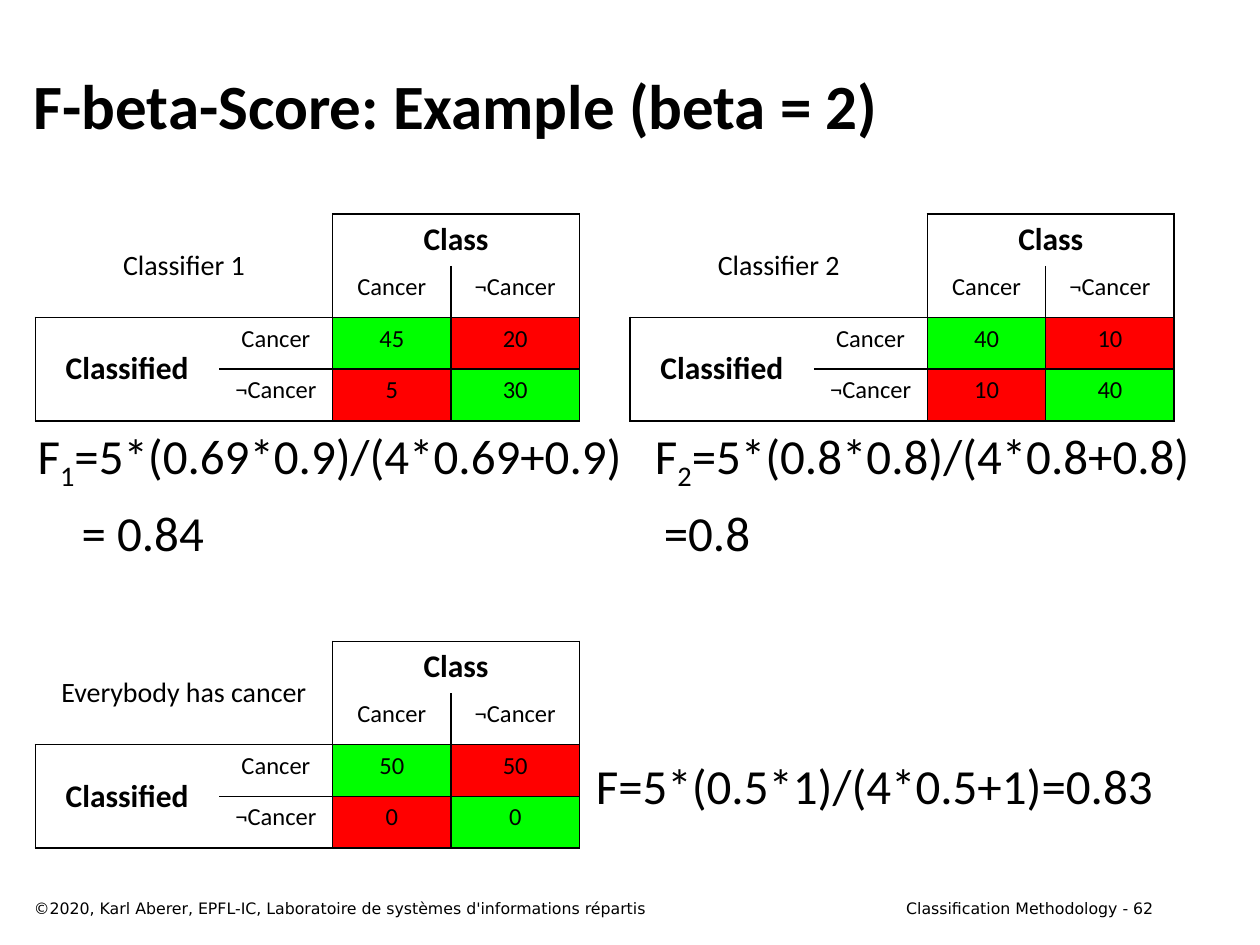
"""Build the F-beta score example slide with three confusion matrices."""
from dataclasses import dataclass

from lxml import etree
from pptx import Presentation
from pptx.dml.color import RGBColor
from pptx.enum.text import MSO_ANCHOR, PP_ALIGN
from pptx.oxml.ns import qn
from pptx.util import Inches, Pt

LEFT, CENTER, RIGHT = PP_ALIGN.LEFT, PP_ALIGN.CENTER, PP_ALIGN.RIGHT
TOP, MIDDLE = MSO_ANCHOR.TOP, MSO_ANCHOR.MIDDLE


@dataclass(frozen=True)
class Theme:
    font: str = "Calibri"
    footer_font: str = "DejaVu Sans"
    ink: str = "000000"
    correct: str = "00FF00"
    wrong: str = "FF0000"
    title: int = 36
    formula: int = 28
    heading: int = 18
    caption: int = 16
    label: int = 14
    footer: int = 9
    border: int = 1


@dataclass(frozen=True)
class Label:
    text: str
    left: float
    top: float
    width: float
    height: float
    size: int
    font: str
    bold: bool = False
    align: PP_ALIGN = LEFT
    anchor: MSO_ANCHOR = TOP
    wrap: bool = True


@dataclass(frozen=True)
class Matrix:
    caption: str
    left: float
    top: float
    counts: tuple[tuple[int, int], tuple[int, int]]


@dataclass(frozen=True)
class FormulaLine:
    runs: tuple[tuple[str, bool], ...]
    tabs: tuple[float, ...]


THEME = Theme()
COLUMN_WIDTHS = (1.46, 0.9, 0.94, 1.02)
ROW_HEIGHT = 0.41
CLASSES = ("Cancer", "¬Cancer")
MERGES = ((0, 0, 1, 1), (0, 2, 0, 3), (2, 0, 3, 0))
BORDERS = (
    ("RB", "R", "LTR", "TR"),
    ("B", "RB", "LRB", "LRB"),
    ("LTB", "TRB", "LTRB", "LTRB"),
    ("LB", "TRB", "LTRB", "LTRB"),
)
MATRICES = (
    Matrix("Classifier 1", 0.28, 1.7, ((45, 20), (5, 30))),
    Matrix("Classifier 2", 5, 1.7, ((40, 10), (10, 40))),
    Matrix("Everybody has cancer", 0.28, 5.09, ((50, 50), (0, 0))),
)
LABELS = (
    Label("F-beta-Score: Example (beta = 2)", 0.17, 0.33, 9.08, 1,
          THEME.title, THEME.font, bold=True, anchor=MIDDLE),
    Label("F=5*(0.5*1)/(4*0.5+1)=0.83", 4.63, 5.95, 4.78, 0.57,
          THEME.formula, THEME.font, wrap=False),
    Label("©2020, Karl Aberer, EPFL-IC, Laboratoire de systèmes d'informations répartis",
          0.17, 7.08, 6.42, 0.25, THEME.footer, THEME.footer_font),
    Label("Classification Methodology - 62", 6.97, 7.08, 2.28, 0.25,
          THEME.footer, THEME.footer_font, align=RIGHT),
)
FORMULA_LINES = (
    FormulaLine((("F", False), ("1", True), ("=5*(0.69*0.9)/(4*0.69+0.9)\tF", False),
                 ("2", True), ("=5*(0.8*0.8)/(4*0.8+0.8)", False)), (4.9,)),
    FormulaLine((("\t= 0.84\t=0.8", False),), (0.35, 4.97)),
)


def style_paragraph(paragraph, size: int, font: str, bold: bool = False,
                    align: PP_ALIGN = LEFT) -> None:
    paragraph.alignment = align
    paragraph.font.size = Pt(size)
    paragraph.font.name = font
    paragraph.font.bold = bold
    paragraph.font.color.rgb = RGBColor.from_string(THEME.ink)


def add_label(slide, label: Label) -> None:
    shape = slide.shapes.add_textbox(Inches(label.left), Inches(label.top),
                                     Inches(label.width), Inches(label.height))
    frame = shape.text_frame
    frame.word_wrap = label.wrap
    frame.vertical_anchor = label.anchor
    frame.text = label.text
    style_paragraph(frame.paragraphs[0], label.size, label.font, label.bold, label.align)


def add_formulas(slide) -> None:
    shape = slide.shapes.add_textbox(Inches(0.2), Inches(3.33), Inches(9.53), Inches(1.4))
    frame = shape.text_frame
    frame.word_wrap = True
    for index, line in enumerate(FORMULA_LINES):
        paragraph = frame.add_paragraph() if index else frame.paragraphs[0]
        if index:
            paragraph.space_before = Pt(0.2 * THEME.formula)
        tab_list = etree.SubElement(paragraph._p.get_or_add_pPr(), qn("a:tabLst"))
        for position in line.tabs:
            etree.SubElement(tab_list, qn("a:tab"), pos=str(Inches(position)), algn="l")
        style_paragraph(paragraph, THEME.formula, THEME.font)
        for text, subscript in line.runs:
            run = paragraph.add_run()
            run.text = text
            if subscript:
                run.font._element.set("baseline", "-25000")


def set_borders(cell, sides: str) -> None:
    properties = cell._tc.get_or_add_tcPr()
    for side in "LRTB":
        line = etree.SubElement(properties, qn(f"a:ln{side}"), w=str(Pt(THEME.border)))
        if side in sides:
            fill = etree.SubElement(line, qn("a:solidFill"))
            etree.SubElement(fill, qn("a:srgbClr"), val=THEME.ink)
        else:
            etree.SubElement(line, qn("a:noFill"))


def write_cell(cell, text: str, size: int = THEME.label, bold: bool = False,
               anchor: MSO_ANCHOR = TOP) -> None:
    cell.text = text
    cell.vertical_anchor = anchor
    style_paragraph(cell.text_frame.paragraphs[0], size, THEME.font, bold, CENTER)


def add_matrix(slide, matrix: Matrix) -> None:
    rows = len(BORDERS)
    table = slide.shapes.add_table(
        rows, len(COLUMN_WIDTHS), Inches(matrix.left), Inches(matrix.top),
        Inches(sum(COLUMN_WIDTHS)), Inches(rows * ROW_HEIGHT)).table
    table.first_row = table.horz_banding = False
    for column, width in zip(table.columns, COLUMN_WIDTHS):
        column.width = Inches(width)
    for row, row_borders in enumerate(BORDERS):
        table.rows[row].height = Inches(ROW_HEIGHT)
        for column, sides in enumerate(row_borders):
            cell = table.cell(row, column)
            set_borders(cell, sides)
            cell.fill.background()
    for first_row, first_column, last_row, last_column in MERGES:
        table.cell(first_row, first_column).merge(table.cell(last_row, last_column))
    write_cell(table.cell(0, 0), matrix.caption, THEME.caption, anchor=MIDDLE)
    write_cell(table.cell(0, 2), "Class", THEME.heading, True, MIDDLE)
    write_cell(table.cell(2, 0), "Classified", THEME.heading, True, MIDDLE)
    for row, name in enumerate(CLASSES):
        write_cell(table.cell(1, row + 2), name)
        write_cell(table.cell(row + 2, 1), name)
        for column, count in enumerate(matrix.counts[row]):
            cell = table.cell(row + 2, column + 2)
            write_cell(cell, str(count))
            color = THEME.correct if row == column else THEME.wrong
            cell.fill.solid()
            cell.fill.fore_color.rgb = RGBColor.from_string(color)


def main() -> None:
    presentation = Presentation()
    presentation.slide_width, presentation.slide_height = Inches(10), Inches(7.5)
    slide = presentation.slides.add_slide(presentation.slide_layouts[6])
    for label in LABELS:
        add_label(slide, label)
    add_formulas(slide)
    for matrix in MATRICES:
        add_matrix(slide, matrix)
    presentation.save("out.pptx")


if __name__ == "__main__":
    main()
